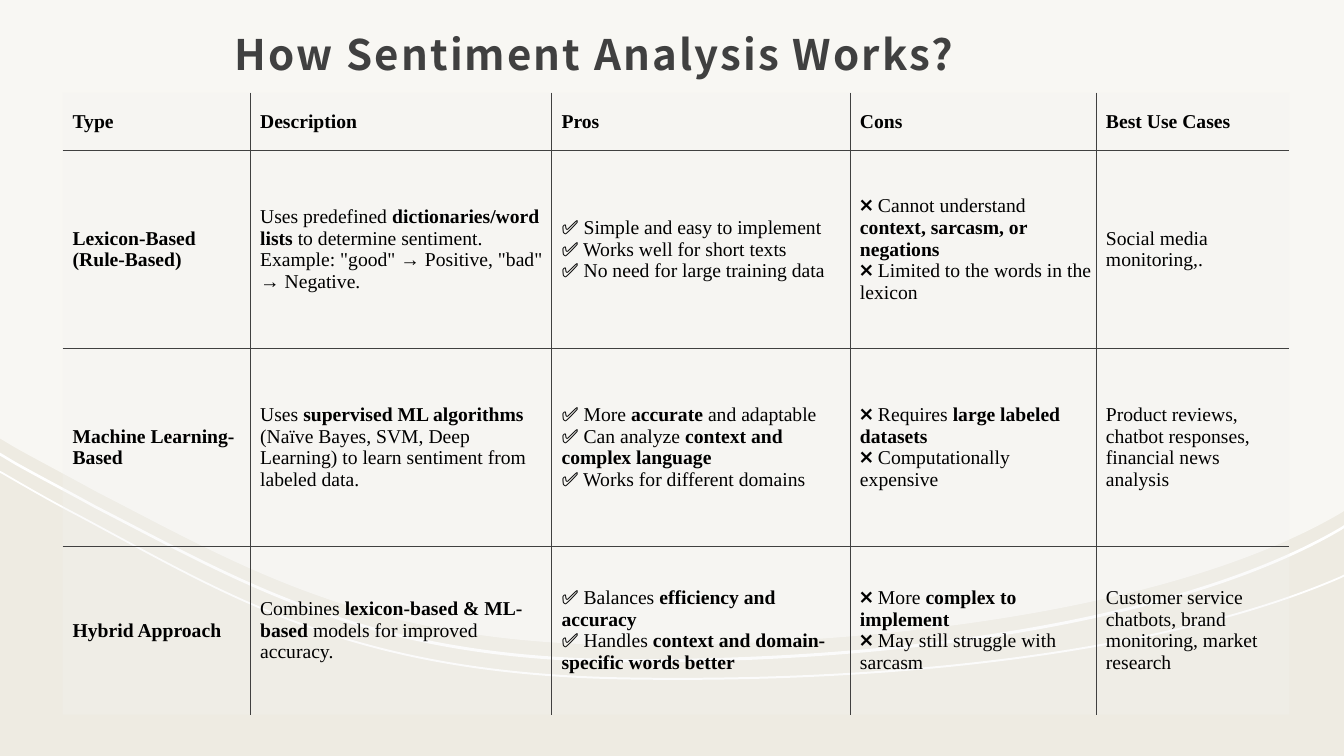
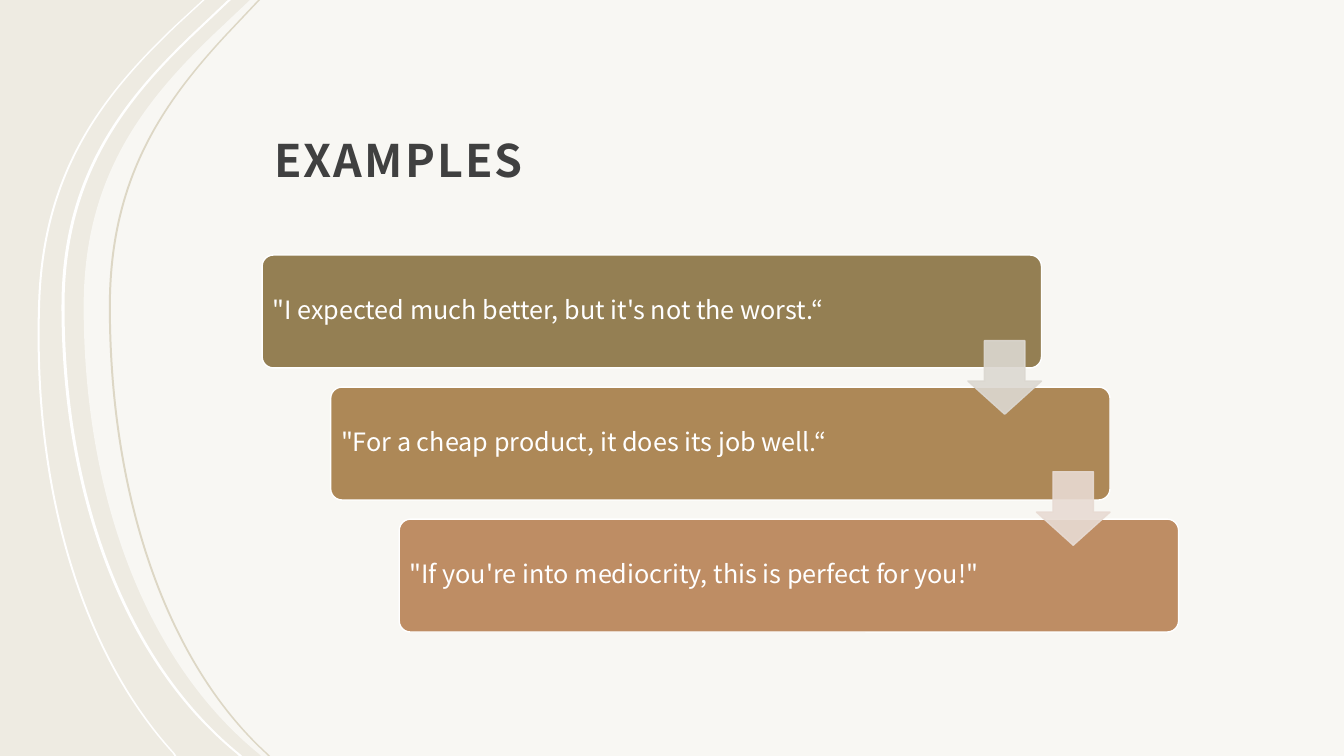
from copy import deepcopy
from dataclasses import dataclass
from lxml import etree
from pptx import Presentation
from pptx.dml.color import RGBColor
from pptx.enum import shapes, text
from pptx.oxml.ns import qn
from pptx.util import Pt

PX = 9144
WIDE, HIGH = 1333, 750


@dataclass(frozen=True)
class Theme:
    back: str = "EEEBE2"
    white: str = "FFFFFF"
    thread: str = "DDD7C5"
    ink: str = "404040"
    black: str = "000000"
    cell: str = "F2F2F2"
    sans: str = "Noto Sans CJK JP"
    serif: str = "Times New Roman"
    small: int = 14
    body: int = 18
    rule: float = 0.5
    veil: int = 60
    tint: int = 30
    arrow: int = 90


T = Theme()

HILL = [
    (1333, 507), (1330, 509),
    (1187, 593, 926, 640, 629, 640),
    (367, 640, 244, 564, 94, 487),
    (67, 472, 40, 458, 15, 444), (0, 435),
]
LOW = [
    (1333, 571), (1329, 573),
    (1167, 643, 907, 678, 618, 673),
    (346, 668, 227, 591, 79, 512),
    (52, 498, 26, 483, 2, 469), (0, 468),
]
BOW = [
    (248, 0), (211, 35),
    (139, 104, 83, 179, 83, 304),
    (83, 492, 145, 657, 257, 748), (259, 750),
]
OUTER = [
    (202, 0), (176, 24),
    (103, 93, 44, 168, 39, 297),
    (32, 480, 79, 645, 172, 747), (174, 750),
]
INNER = [
    (257, 0), (224, 35),
    (160, 104, 109, 179, 109, 304),
    (109, 492, 165, 657, 265, 748), (267, 750),
]

WAVES = {
    "table": {
        "veil": (HILL, [(0, 0), (WIDE, 0)]),
        "lines": [
            (LOW, (0, -1), (0, 1), T.white),
            (HILL, (0, 14), (0, 17), T.white),
        ],
    },
    "steps": {
        "veil": (BOW, [(WIDE, HIGH), (WIDE, 0)]),
        "lines": [
            (OUTER, (-1, 0), (1, 0), T.white),
            (BOW, (-22, 0), (-19, 0), T.white),
            (INNER, (-1, 0), (1, 0), T.thread),
        ],
    },
}

TITLES = {
    "table": ("How Sentiment Analysis Works?", (221, 3, 892, 85), 30, 1.2),
    "steps": ("EXAMPLES", (260, 48, 918, 147), 32, 1.3),
}

GRID = (62, 92)
COLS = [186, 299, 296, 244, 192]
ROWS = [57, 197, 196, 167]
CELLS = [
    ["**Type**", "**Description**", "**Pros**", "**Cons**", "**Best Use Cases**"],
    [
        "**Lexicon-Based (Rule-Based)**",
        "Uses predefined **dictionaries/word lists** to determine sentiment. "
        'Example: "good" → Positive, "bad" → Negative.',
        "✅ Simple and easy to implement \n✅ Works well for short texts \n"
        "✅ No need for large training data",
        "❌ Cannot understand **context, sarcasm, or negations \n**"
        "❌ Limited to the words in the lexicon",
        "Social media monitoring,.",
    ],
    [
        "**Machine Learning-Based**",
        "Uses **supervised ML algorithms** (Naïve Bayes, SVM, Deep Learning) "
        "to learn sentiment from labeled data.",
        "✅ More **accurate** and adaptable \n"
        "✅ Can analyze **context and complex language \n**"
        "✅ Works for different domains",
        "❌ Requires **large labeled datasets \n**❌ Computationally expensive",
        "Product reviews, chatbot responses, financial news analysis",
    ],
    [
        "**Hybrid Approach**",
        "Combines **lexicon-based & ML-based** models for improved accuracy.",
        "✅ Balances **efficiency and accuracy \n**"
        "✅ Handles **context and domain-specific words better**",
        "❌ More **complex to implement \n**❌ May still struggle with sarcasm",
        "Customer service chatbots, brand monitoring, market research",
    ],
]

STEPS = [
    ('"I expected much better, but it\'s not the worst.“', "947F53"),
    ('"For a cheap product, it does its job well.“', "AD8857"),
    ('"If you\'re into mediocrity, this is perfect for you!"', "BE8D64"),
]
ARROWS = ["DCD8D1", "E8DBD3"]
BOX, BOX_STEP = (260, 253, 773, 112), (68, 131)
HEAD, HEAD_STEP = (960, 338, 73, 73), (68, 130)


def emu(*nums):
    return [round(n * PX) for n in nums]


def rgb(code):
    return RGBColor.from_string(code)


def put(item, **vals):
    for key, val in vals.items():
        setattr(item, key, val)


def inset(item, *gaps):
    sides = ("left", "top", "right", "bottom")
    put(item, **{f"margin_{s}": n for s, n in zip(sides, emu(*gaps))})


def style(font, name, size, color, bold=False):
    put(font, name=name, size=Pt(size), bold=bold)
    font.color.rgb = rgb(color)


def fade(node, share):
    for tone in node.iter(qn("a:srgbClr")):
        etree.SubElement(tone, qn("a:alpha"), val=str(share * 1000))


def paint(shape, fill, line=None):
    shape.shadow.inherit = False
    shape.fill.solid()
    shape.fill.fore_color.rgb = rgb(fill)
    if line:
        shape.line.color.rgb = rgb(line)
        shape.line.width = Pt(1)
    else:
        shape.line.fill.background()


def trace(curve, move=(0, 0)):
    dots = [(seg[k] + move[0], seg[k + 1] + move[1])
            for seg in curve for k in range(0, len(seg), 2)]
    return dots, [len(seg) // 2 for seg in curve[1:]]


def outline(slide, dots, sizes, fill):
    dots = [emu(*dot) for dot in dots]
    form = slide.shapes.build_freeform(*dots[0], scale=1.0)
    form.add_line_segments(dots[1:], close=True)
    shape = form.convert_to_shape()
    lines = iter(list(shape.element.iter(qn("a:lnTo"))))
    for size in sizes:
        group = [next(lines) for _ in range(size)]
        if size == 3:
            bend = etree.Element(qn("a:cubicBezTo"))
            group[0].addprevious(bend)
            for line in group:
                bend.append(line[0])
                line.getparent().remove(line)
    paint(shape, fill)
    return shape


def ribbon(slide, curve, near, far, fill):
    dots, sizes = trace(curve, near)
    back, _ = trace(curve, far)
    outline(slide, dots + back[::-1], sizes + [1] + sizes[::-1], fill)


def start(deck, kind):
    slide = deck.slides.add_slide(deck.slide_layouts[5])
    slide.background.fill.solid()
    slide.background.fill.fore_color.rgb = rgb(T.back)
    curve, ends = WAVES[kind]["veil"]
    dots, sizes = trace(curve)
    veil = outline(slide, dots + ends, sizes, T.white)
    fade(veil.element, T.veil)
    for line in WAVES[kind]["lines"]:
        ribbon(slide, *line)

    words, place, size, space = TITLES[kind]
    title = slide.shapes.title
    put(title, **dict(zip(("left", "top", "width", "height"), emu(*place))))
    frame = title.text_frame
    put(frame, text=words, word_wrap=True, auto_size=text.MSO_AUTO_SIZE.NONE,
        vertical_anchor=text.MSO_ANCHOR.BOTTOM)
    inset(frame, 12, 12, 12, 10)
    para = frame.paragraphs[0]
    put(para, alignment=text.PP_ALIGN.LEFT, line_spacing=space, space_after=Pt(6))
    style(para.runs[0].font, T.sans, size, T.ink, True)
    for prop in title.element.iter(qn("a:rPr")):
        prop.set("spc", "150")
    title.element.getparent().append(title.element)
    return slide


def rule(node, shown):
    for spot, (side, on) in enumerate(shown.items()):
        line = etree.Element(qn(f"a:ln{side}"), w=str(Pt(T.rule)))
        if on:
            fill = etree.SubElement(line, qn("a:solidFill"))
            etree.SubElement(fill, qn("a:srgbClr"), val=T.ink)
        else:
            etree.SubElement(line, qn("a:noFill"))
        node.insert(spot, line)


def write(para, words):
    for k, part in enumerate(words.split("**")):
        for n, line in enumerate(part.split("\n")):
            if n:
                para.add_line_break()
            if line:
                run = para.add_run()
                run.text = line
                style(run.font, T.serif, T.small, T.black, k % 2 == 1)
    for gap in para.runs[0].font and para.line_spacing or []:
        gap
    node = para.runs[0]
    for mark in list(para.runs[0]._r.getparent().iter(qn("a:br"))):
        mark.append(deepcopy(node._r.find(qn("a:rPr"))))


def table(slide):
    size = (sum(COLS), sum(ROWS))
    frame = slide.shapes.add_table(len(ROWS), len(COLS), *emu(*GRID, *size))
    grid = frame.table
    put(grid, first_row=False, horz_banding=False)
    for col, wide in zip(grid.columns, emu(*COLS)):
        col.width = wide
    for row, high in zip(grid.rows, emu(*ROWS)):
        row.height = high
    for r, line in enumerate(CELLS):
        for c, words in enumerate(line):
            cell = grid.cell(r, c)
            write(cell.text_frame.paragraphs[0], words)
            cell.vertical_anchor = text.MSO_ANCHOR.MIDDLE
            inset(cell, 10, 8, 3, 8)
            cell.fill.solid()
            cell.fill.fore_color.rgb = rgb(T.cell)
    for n, node in enumerate(frame.element.iter(qn("a:tcPr"))):
        r, c = divmod(n, len(COLS))
        fade(node, T.tint)
        rule(node, {"L": c > 0, "R": c < len(COLS) - 1,
                    "T": r > 0, "B": r < len(ROWS) - 1})


def preset(slide, kind, place, move, adjust, fill, line):
    left, top, wide, high = place
    spot = emu(left + move[0], top + move[1], wide, high)
    shape = slide.shapes.add_shape(kind, *spot)
    for n, val in enumerate(adjust):
        shape.adjustments[n] = val
    paint(shape, fill, line)
    return shape


def steps(slide):
    kinds = shapes.MSO_SHAPE
    for n, (words, color) in enumerate(STEPS):
        move = [n * gap for gap in BOX_STEP]
        box = preset(slide, kinds.ROUNDED_RECTANGLE, BOX, move, [0.1], color, T.white)
        frame = box.text_frame
        put(frame, text=words, word_wrap=True, vertical_anchor=text.MSO_ANCHOR.MIDDLE)
        inset(frame, 7, 7, 7, 7)
        para = frame.paragraphs[0]
        put(para, alignment=text.PP_ALIGN.LEFT, line_spacing=0.9)
        style(para.runs[0].font, T.sans, T.body, T.white)
    for n, color in enumerate(ARROWS):
        move = [n * gap for gap in HEAD_STEP]
        arrow = preset(slide, kinds.DOWN_ARROW, HEAD, move, [0.55, 0.45], color, color)
        fade(arrow.element, T.arrow)


def main():
    deck = Presentation()
    put(deck, slide_width=WIDE * PX, slide_height=HIGH * PX)
    table(start(deck, "table"))
    steps(start(deck, "steps"))
    deck.save("out.pptx")


if __name__ == "__main__":
    main()
